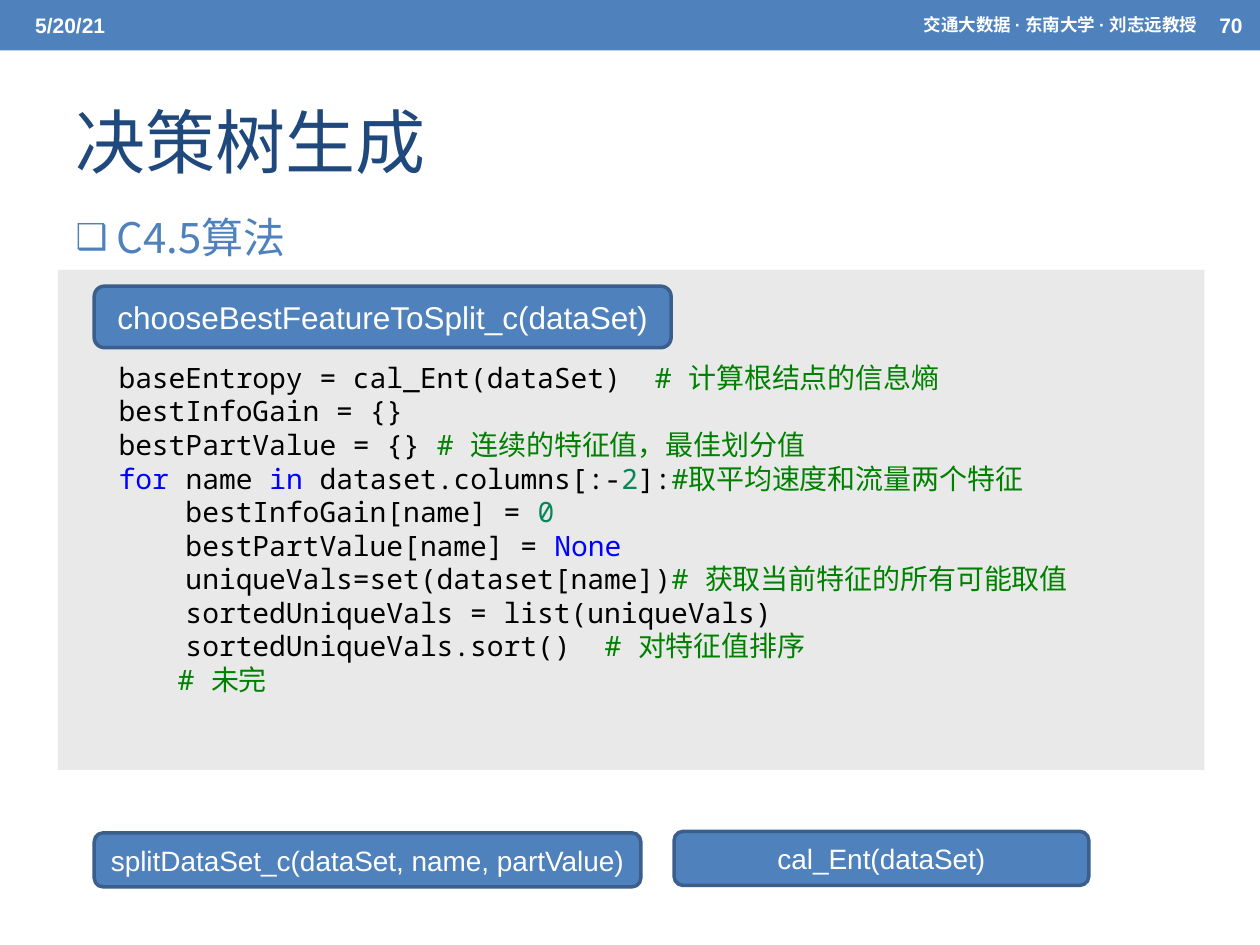
"""Build the slide on decision tree generation with the C4.5 algorithm."""
from lxml.etree import SubElement
from pptx import Presentation
from pptx.dml.color import RGBColor
from pptx.enum.shapes import MSO_SHAPE as Shape
from pptx.enum.text import MSO_ANCHOR as Anchor, MSO_AUTO_SIZE as Auto, PP_ALIGN as Align
from pptx.oxml.ns import qn
from pptx.util import Cm, Pt

WHITE = RGBColor(0xFF, 0xFF, 0xFF)
BLACK = RGBColor(0x00, 0x00, 0x00)
BLUE = RGBColor(0x4F, 0x81, 0xBD)
NAVY = RGBColor(0x1F, 0x49, 0x7D)
EDGE = RGBColor(0x3A, 0x5F, 0x8C)
GREY = RGBColor(0xBF, 0xBF, 0xBF)
GREEN = RGBColor(0x00, 0x80, 0x00)
KEY = RGBColor(0x00, 0x00, 0xFF)
NUM = RGBColor(0x09, 0x86, 0x58)
SANS = "Noto Sans CJK SC"


def style(run, size, color, name, bold=False):
    font = run.font
    font.size, font.name, font.bold = Pt(size), name, bold
    font.color.rgb = color
    SubElement(run._r.get_or_add_rPr(), qn("a:ea"), typeface=SANS)


def block(kind, left, top, width, height, fill):
    shape = slide.shapes.add_shape(kind, Cm(left), Cm(top), Cm(width), Cm(height))
    shape.shadow.inherit = False
    shape.fill.solid()
    shape.fill.fore_color.rgb = fill
    shape.line.fill.background()
    return shape


deck = Presentation()
deck.slide_width, deck.slide_height = Cm(25.4), Cm(19.05)
slide = deck.slides.add_slide(deck.slide_layouts[1])

block(Shape.RECTANGLE, 0, 0, 25.4, 1.02, BLUE)
heads = [
    ("5/20/21", 0.46, 8.05, 12, Align.LEFT),
    ("交通大数据 · 东南大学 · 刘志远教授", 10.97, 13.41, 10, Align.RIGHT),
    ("70", 24.33, 1.07, 12, Align.LEFT),
]
for text, left, width, size, align in heads:
    frame = slide.shapes.add_textbox(Cm(left), Cm(0.05), Cm(width), Cm(0.91)).text_frame
    frame.text = text
    frame.word_wrap = True
    frame.vertical_anchor = Anchor.MIDDLE
    para = frame.paragraphs[0]
    para.alignment = align
    style(para.runs[0], size, WHITE, "Arial", True)

title = slide.shapes.title
title.left, title.top, title.width, title.height = Cm(1.27), Cm(1.47), Cm(22.86), Cm(2.74)
title.text_frame.text = "决策树生成"
title.text_frame.auto_size = Auto.NONE
title.text_frame.vertical_anchor = Anchor.MIDDLE
para = title.text_frame.paragraphs[0]
para.alignment = Align.LEFT
style(para.runs[0], 40, NAVY, SANS)

body = slide.placeholders[1]
body.left, body.top, body.width, body.height = Cm(1.27), Cm(3.63), Cm(22.58), Cm(1.98)
body.text_frame.text = "C4.5算法"
body.text_frame.auto_size = Auto.NONE
para = body.text_frame.paragraphs[0]
props = para._p.get_or_add_pPr()
props.set("marL", str(Cm(0.83)))
props.set("indent", str(-Cm(0.83)))
SubElement(SubElement(props, qn("a:buClr")), qn("a:srgbClr"), val=str(BLUE))
SubElement(props, qn("a:buSzPct"), val="85000")
SubElement(props, qn("a:buChar"), char="❑")
para.line_spacing = 1.5
para.space_before = Pt(0)
style(para.runs[0], 24, BLUE, SANS)

panel = block(Shape.RECTANGLE, 1.17, 5.44, 23.11, 10.08, GREY)
tint = panel.fill._xPr.find(qn("a:solidFill"))[0]
SubElement(tint, qn("a:alpha"), val="34000")

lines = [
    [("    baseEntropy = cal_Ent(dataSet)  ", BLACK), ("# 计算根结点的信息熵", GREEN)],
    [("    bestInfoGain = {}", BLACK)],
    [("    bestPartValue = {} ", BLACK), ("# 连续的特征值，最佳划分值", GREEN)],
    [("    ", BLACK), ("for", KEY), (" name ", BLACK), ("in ", KEY),
     ("dataset.columns[:-", BLACK), ("2", NUM), ("]:", BLACK),
     ("#取平均速度和流量两个特征", GREEN)],
    [("        bestInfoGain[name] = ", BLACK), ("0", NUM)],
    [("        bestPartValue[name] = ", BLACK), ("None", KEY)],
    [("        uniqueVals=set(dataset[name])", BLACK),
     ("# 获取当前特征的所有可能取值", GREEN)],
    [("        sortedUniqueVals = list(uniqueVals)", BLACK)],
    [("        sortedUniqueVals.sort()  ", BLACK), ("# 对特征值排序", GREEN)],
    [("\t\t# 未完", GREEN)],
]
frame = slide.shapes.add_textbox(Cm(0.79), Cm(7.14), Cm(23.52), Cm(7.09)).text_frame
frame.word_wrap = True
for row, parts in enumerate(lines):
    para = frame.add_paragraph() if row else frame.paragraphs[0]
    tabs = SubElement(para._p.get_or_add_pPr(), qn("a:tabLst"))
    for stop in (1.27, 2.54):
        SubElement(tabs, qn("a:tab"), pos=str(Cm(stop)), algn="l")
    para.line_spacing = Pt(19.2)
    for text, color in parts:
        run = para.add_run()
        run.text = text
        style(run, 16, color, "Noto Sans Mono")

calls = [
    ("chooseBestFeatureToSplit_c(dataSet)", 1.9, 5.77, 11.63, 1.24, 18),
    ("splitDataSet_c(dataSet, name, partValue)", 1.9, 16.79, 11.02, 1.09, 16),
    ("cal_Ent(dataSet)", 13.59, 16.76, 8.36, 1.09, 16),
]
for text, left, top, width, height, size in calls:
    call = block(Shape.ROUNDED_RECTANGLE, left, top, width, height, BLUE)
    call.line.color.rgb = EDGE
    call.line.width = Pt(2)
    frame = call.text_frame
    frame.text = text
    frame.word_wrap = False
    frame.vertical_anchor = Anchor.MIDDLE
    para = frame.paragraphs[0]
    para.alignment = Align.CENTER
    style(para.runs[0], size, WHITE, "Arial")

deck.save("out.pptx")
